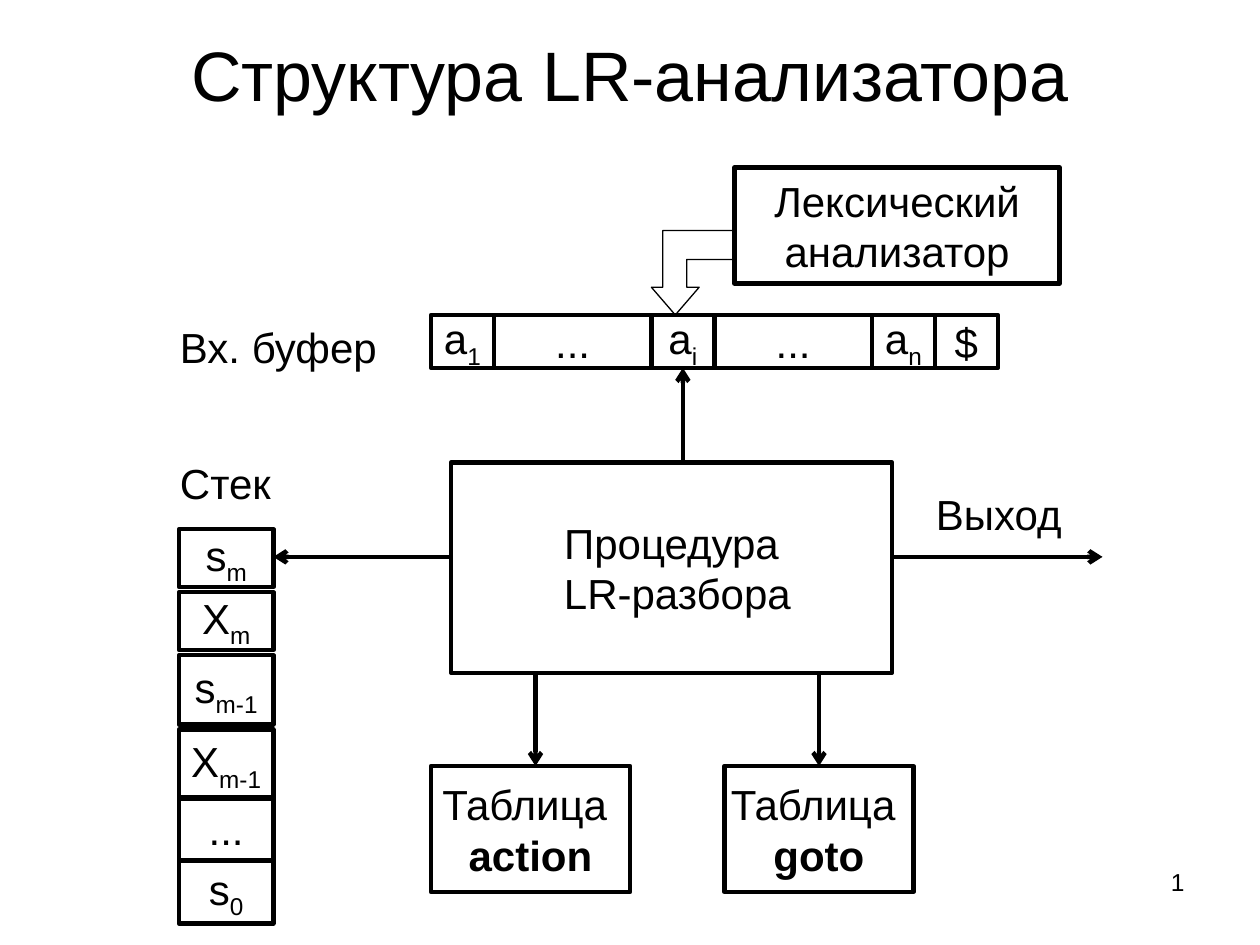
from dataclasses import dataclass
from itertools import accumulate

from lxml import etree
from pptx import Presentation
from pptx.dml.color import RGBColor
from pptx.enum.shapes import MSO_CONNECTOR as Connector, MSO_SHAPE as Shape
from pptx.enum.text import MSO_ANCHOR as Anchor, PP_ALIGN as Align
from pptx.oxml.ns import qn
from pptx.util import Inches, Pt

BLACK = "000000"
FONT = "Arial"
TEXT_SIZE = 24
LINE_WIDTH = 2.5


@dataclass
class Box:
    left: float
    top: float
    width: float
    height: float
    text: str
    sub: str = ""
    bold_end: bool = False


@dataclass
class Label:
    left: float
    top: float
    width: float
    text: str
    size: int = TEXT_SIZE
    align: Align = Align.LEFT


@dataclass
class Arrow:
    x1: float
    y1: float
    x2: float
    y2: float


def color(value: str) -> RGBColor:
    return RGBColor.from_string(value)


def format_text(frame, size: int, align: Align) -> None:
    for paragraph in frame.paragraphs:
        paragraph.alignment = align
        for run in paragraph.runs:
            run.font.name = FONT
            run.font.size = Pt(size)
            run.font.color.rgb = color(BLACK)


def outline(shape, width: float) -> None:
    shape.shadow.inherit = False
    shape.fill.background()
    shape.line.color.rgb = color(BLACK)
    shape.line.width = Pt(width)


def draw_box(slide, box: Box) -> None:
    rect = slide.shapes.add_shape(
        Shape.RECTANGLE, Inches(box.left), Inches(box.top), Inches(box.width), Inches(box.height))
    outline(rect, LINE_WIDTH)
    frame = rect.text_frame
    frame.word_wrap = False
    frame.vertical_anchor = Anchor.MIDDLE
    paragraph = frame.paragraphs[0]
    paragraph.text = box.text
    if box.bold_end:
        paragraph.runs[-1].font.bold = True
    if box.sub:
        index = paragraph.add_run()
        index.text = box.sub
        index.font._element.set("baseline", "-25000")
    format_text(frame, TEXT_SIZE, Align.CENTER)


def draw_label(slide, label: Label) -> None:
    frame = slide.shapes.add_textbox(
        Inches(label.left), Inches(label.top), Inches(label.width), Inches(0.5)).text_frame
    frame.word_wrap = True
    frame.text = label.text
    format_text(frame, label.size, label.align)


def draw_arrow(slide, arrow: Arrow) -> None:
    link = slide.shapes.add_connector(
        Connector.STRAIGHT, Inches(arrow.x1), Inches(arrow.y1), Inches(arrow.x2), Inches(arrow.y2))
    link.line.color.rgb = color(BLACK)
    link.line.width = Pt(LINE_WIDTH)
    etree.SubElement(link.line._get_or_add_ln(), qn("a:tailEnd"), type="arrow")
    etree.SubElement(link._element.spPr, qn("a:effectLst"))


prs = Presentation()
prs.slide_width, prs.slide_height = Inches(10), Inches(7.5)
slide = prs.slides.add_slide(prs.slide_layouts[5])

# Title
title = slide.shapes.title
title.left, title.top, title.width, title.height = Inches(0.5), Inches(0), Inches(9), Inches(1.17)
title.text_frame.text = "Структура LR-анализатора"
title.text_frame.vertical_anchor = Anchor.MIDDLE
format_text(title.text_frame, 40, Align.CENTER)

# Parser, its tables and the lexer
components = [
    Box(3.58, 3.67, 3.5, 1.67, "Процедура\v LR-разбора"),
    Box(3.42, 6.08, 1.58, 1, "Таблица \vaction", bold_end=True),
    Box(5.75, 6.08, 1.5, 1, "Таблица \vgoto", bold_end=True),
    Box(5.83, 1.33, 2.58, 0.92, "Лексический\vанализатор"),
]

# Input buffer: cells side by side
buffer_cells = [("a", "1", 0.5), ("...", "", 1.25), ("a", "i", 0.5),
                ("...", "", 1.25), ("a", "n", 0.5), ("$", "", 0.5)]
buffer_lefts = accumulate((width for _, _, width in buffer_cells), initial=3.42)
input_buffer = [Box(left, 2.5, width, 0.42, text, sub)
                for left, (text, sub, width) in zip(buffer_lefts, buffer_cells)]

# Stack: top, height and symbol of each cell
stack_cells = [(4.2, 0.46, "s", "m"), (4.7, 0.46, "X", "m"), (5.2, 0.55, "s", "m-1"),
               (5.79, 0.55, "X", "m-1"), (6.33, 0.5, "...", ""), (6.83, 0.5, "s", "0")]
stack = [Box(1.42, top, 0.75, height, text, sub) for top, height, text, sub in stack_cells]

for box in components + input_buffer + stack:
    draw_box(slide, box)

# Links from the parser
for arrow in (Arrow(4.25, 5.33, 4.25, 6.08), Arrow(6.5, 5.33, 6.5, 6.08),
              Arrow(3.58, 4.42, 2.17, 4.42), Arrow(7.08, 4.42, 8.75, 4.42),
              Arrow(5.42, 3.67, 5.42, 2.92)):
    draw_arrow(slide, arrow)

# Bent arrow from the lexer to the buffer
bend = [(5.36, 2.5), (5.55, 2.28), (5.45, 2.28), (5.45, 2.06), (5.83, 2.06),
        (5.83, 1.83), (5.26, 1.83), (5.26, 2.28), (5.17, 2.28)]
corners = [(Inches(x), Inches(y)) for x, y in bend]
builder = slide.shapes.build_freeform(*corners[0])
builder.add_line_segments(corners[1:], close=True)
outline(builder.convert_to_shape(), 0.75)

# Labels and page number
for label in (Label(1.33, 2.5, 2, "Вх. буфер"), Label(1.33, 3.58, 1.08, "Стек"),
              Label(7.33, 3.83, 1.25, "Выход"),
              Label(7.17, 6.83, 2.33, "1", 14, Align.RIGHT)):
    draw_label(slide, label)

prs.save("out.pptx")
